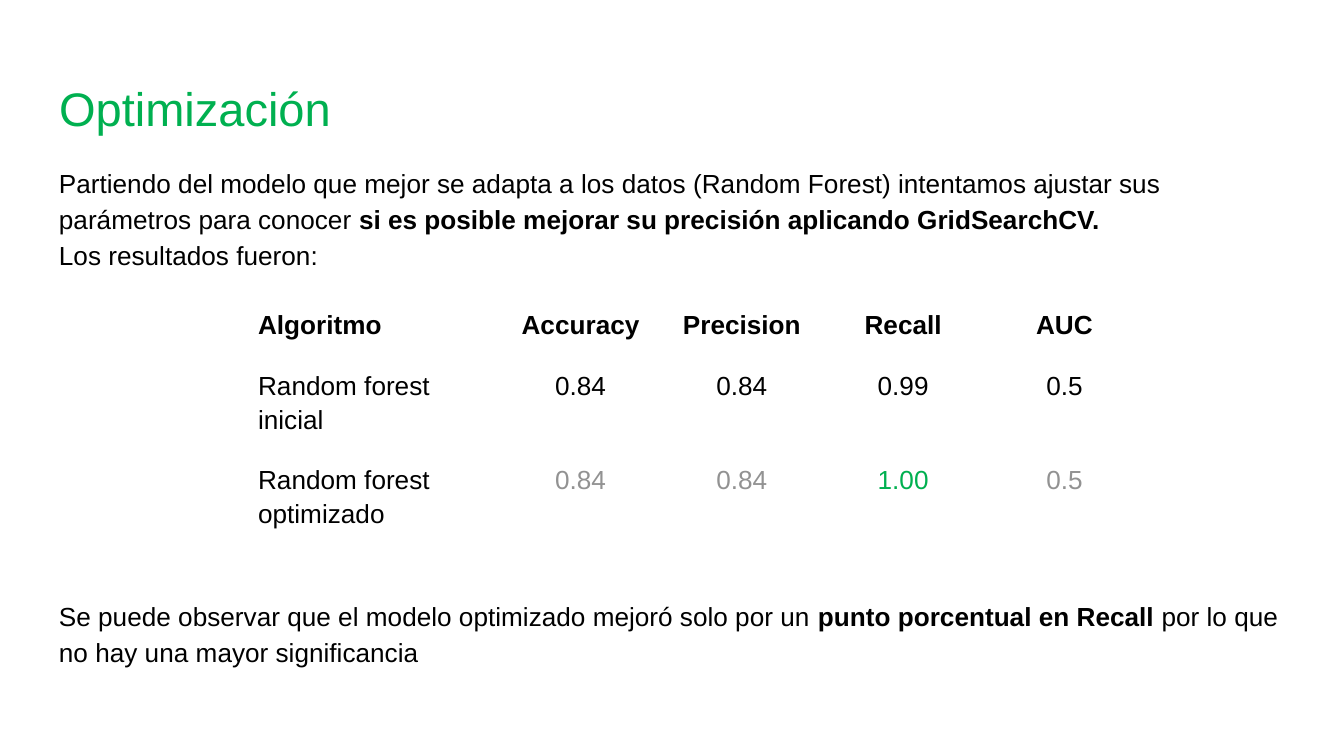
from dataclasses import dataclass

from pptx import Presentation
from pptx.dml.color import RGBColor
from pptx.enum import text
from pptx.util import Inches, Pt


@dataclass(frozen=True)
class Theme:
    font: str = "Arial"
    title_size: float = 25.2
    body_size: float = 14
    ink: str = "000000"
    green: str = "00B050"
    gray: str = "929292"
    margin: float = 0.1
    left: float = 0.34
    width: float = 9.32
    line_spacing: float = 1.15
    table_gap: float = 174


THEME = Theme()

# Table content: each row is a label followed by its metrics
ROWS = [
    ["Algoritmo", "Accuracy", "Precision", "Recall", "AUC"],
    ["Random forest inicial", "0.84", "0.84", "0.99", "0.5"],
    ["Random forest optimizado", "0.84", "0.84", "1.00", "0.5"],
]
COLUMN_WIDTHS = [1.9] + [1.2] * 4
ROW_HEIGHTS = [0.23, 0.23, 0.46]  # minimum heights, rows grow with their text

# Body paragraphs: lists of (words, bold) pairs
BODY = [
    [("Partiendo del modelo que mejor se adapta a los datos (Random Forest) "
      "intentamos ajustar sus parámetros para conocer ", False),
     ("si es posible mejorar su precisión aplicando GridSearchCV.", True)],
    [("Los resultados fueron:", False)],
    [("Se puede observar que el modelo optimizado mejoró solo por un ", False),
     ("punto porcentual en Recall", True),
     (" por lo que no hay una mayor significancia", False)],
]


def style_span(span, size=THEME.body_size, color=THEME.ink, bold=False):
    span.font.name = THEME.font
    span.font.size = Pt(size)
    span.font.bold = bold
    span.font.color.rgb = RGBColor.from_string(color)


def set_margins(holder):
    for side in ("left", "top", "right", "bottom"):
        setattr(holder, f"margin_{side}", Inches(THEME.margin))


def place(box, top, height):
    box.left, box.top = Inches(THEME.left), Inches(top)
    box.width, box.height = Inches(THEME.width), Inches(height)
    frame = box.text_frame
    frame.word_wrap = True
    frame.auto_size = text.MSO_AUTO_SIZE.NONE
    set_margins(frame)
    return frame


def add_title(page, words):
    frame = place(page.shapes.title, 0.49, 0.63)
    frame.text = words
    frame.vertical_anchor = text.MSO_ANCHOR.MIDDLE
    para = frame.paragraphs[0]
    para.alignment = text.PP_ALIGN.LEFT
    style_span(para.runs[0], THEME.title_size, THEME.green)


def add_body(page):
    frame = place(page.shapes.add_textbox(0, 0, 0, 0), 1.11, 3.88)
    for index, pieces in enumerate(BODY):
        para = frame.add_paragraph() if index else frame.paragraphs[0]
        para.line_spacing = THEME.line_spacing
        for words, bold in pieces:
            span = para.add_run()
            span.text = words
            style_span(span, bold=bold)
    # The conclusion sits below the table
    frame.paragraphs[-1].space_before = Pt(THEME.table_gap)


def cell_color(row, column):
    if row < 2 or column == 0:
        return THEME.ink
    # The optimized model only improves where its value changes
    improved = ROWS[row][column] != ROWS[row - 1][column]
    return THEME.green if improved else THEME.gray


def fill_cell(cell, row, column):
    cell.fill.background()
    set_margins(cell)
    cell.text_frame.text = ROWS[row][column]
    para = cell.text_frame.paragraphs[0]
    para.line_spacing = THEME.line_spacing
    para.alignment = text.PP_ALIGN.CENTER if column else text.PP_ALIGN.LEFT
    style_span(para.runs[0], color=cell_color(row, column), bold=row == 0)


def add_results(page):
    frame = page.shapes.add_table(
        len(ROWS), len(COLUMN_WIDTHS), Inches(1.82), Inches(2.18),
        Inches(sum(COLUMN_WIDTHS)), Inches(sum(ROW_HEIGHTS)))
    table = frame.table
    table.first_row = table.horz_banding = False
    for column, width in zip(table.columns, COLUMN_WIDTHS):
        column.width = Inches(width)
    for row, height in enumerate(ROW_HEIGHTS):
        table.rows[row].height = Inches(height)
        for column in range(len(COLUMN_WIDTHS)):
            fill_cell(table.cell(row, column), row, column)
    # Plain table style: no grid, no banding
    style = frame._element.graphic.graphicData.tbl.tblPr.find(
        "{http://schemas.openxmlformats.org/drawingml/2006/main}tableStyleId")
    style.text = "{2D5ABB26-0587-4C30-8999-92F81FD0307C}"


def main():
    deck = Presentation()
    # Widescreen, 16:9
    deck.slide_width = Inches(10)
    deck.slide_height = Inches(10 * 9 / 16)
    page = deck.slides.add_slide(deck.slide_layouts[5])

    add_title(page, "Optimización")
    add_body(page)
    add_results(page)

    deck.save("out.pptx")


if __name__ == "__main__":
    main()
